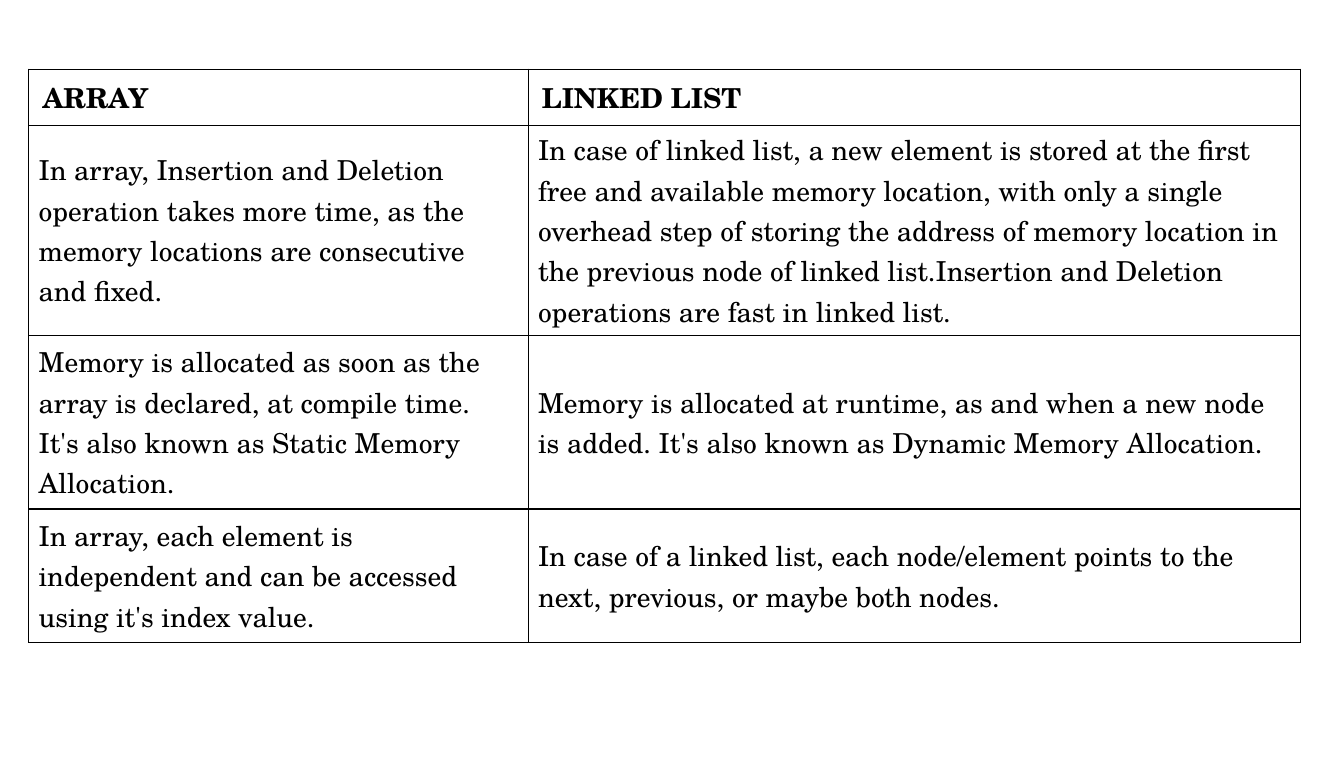
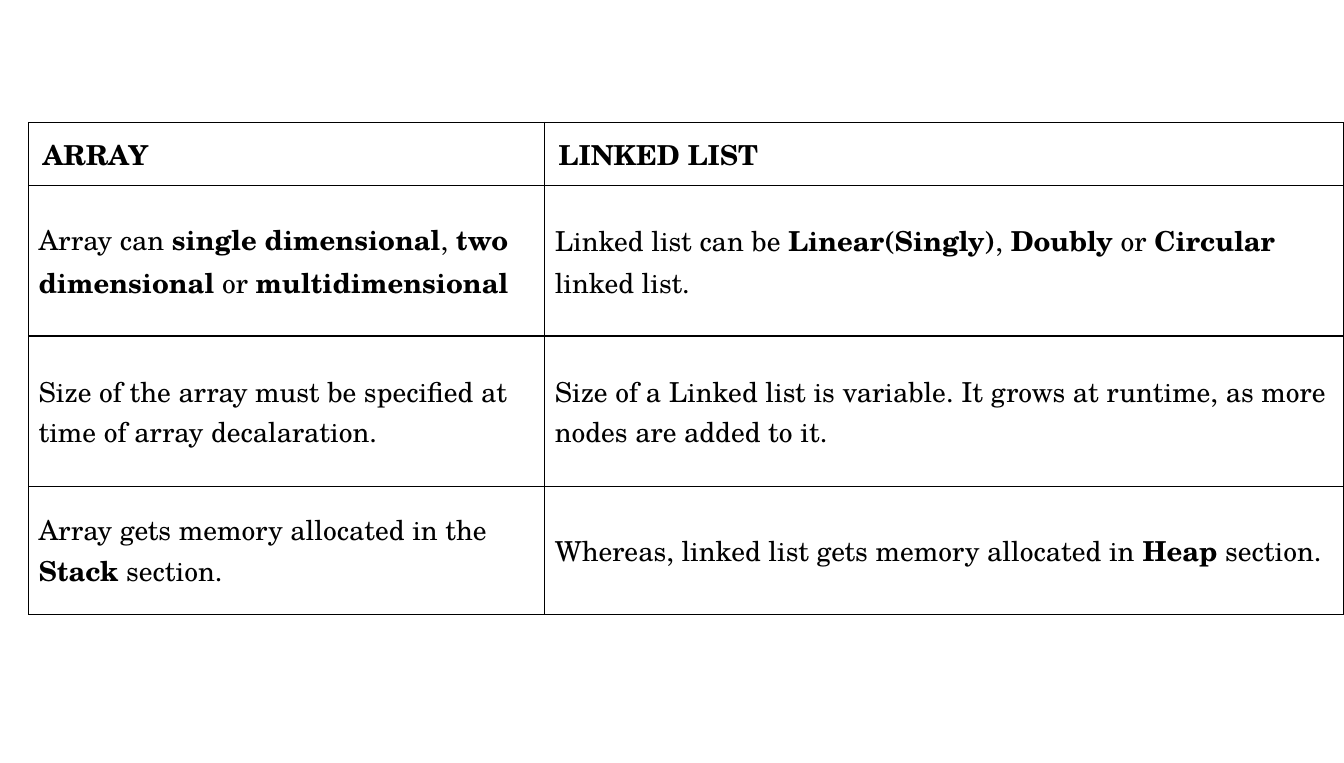
from pptx import Presentation
from pptx.dml.color import RGBColor
from pptx.enum.text import MSO_ANCHOR
from pptx.oxml import parse_xml
from pptx.oxml.ns import nsdecls
from pptx.util import Emu, Pt

EMU_PER_PX = 9144  # 100 px to the inch


def px(n):
    return Emu(n * EMU_PER_PX)


def color(hex_text):
    return RGBColor.from_string(hex_text)


class Deck:
    FONT, SIZE = "TeX Gyre Schola", Pt(20)
    INK, PAPER = "000000", "FFFFFF"
    BORDER = Pt(1)
    HEAD_INSET, BODY_INSET = (14, 5), (10, 4)

    def __init__(self, width, height):
        self.prs = Presentation()
        self.prs.slide_width, self.prs.slide_height = px(width), px(height)
        self.s = None

    def slide(self):
        self.s = self.prs.slides.add_slide(self.prs.slide_layouts[6])
        fill = self.s.background.fill
        fill.solid()
        fill.fore_color.rgb = color(self.PAPER)

    def table(self, left, top, widths, heights, rows):
        """Add a bordered table whose first row is a bold header."""
        frame = self.s.shapes.add_table(
            len(rows), len(widths), px(left), px(top),
            px(sum(widths)), px(sum(heights)))
        tbl = frame.table
        tbl.first_row = tbl.horz_banding = False
        for col, width in zip(tbl.columns, widths):
            col.width = px(width)
        for row, height in zip(tbl.rows, heights):
            row.height = px(height)
        for i, texts in enumerate(rows):
            for j, text in enumerate(texts):
                self.cell(tbl.cell(i, j), text, header=i == 0)

    def cell(self, cell, text, header):
        """Fill one cell; words between ** marks are bold."""
        side, end = self.HEAD_INSET if header else self.BODY_INSET
        cell.margin_left = cell.margin_right = px(side)
        cell.margin_top = cell.margin_bottom = px(end)
        cell.vertical_anchor = MSO_ANCHOR.MIDDLE
        cell.fill.solid()
        cell.fill.fore_color.rgb = color(self.PAPER)
        self.borders(cell)
        p = cell.text_frame.paragraphs[0]
        p.font.name, p.font.size = self.FONT, self.SIZE
        p.font.color.rgb = color(self.INK)
        for i, part in enumerate(text.split("**")):
            r = p.add_run()
            r.text = part
            r.font.bold = header or i % 2 == 1

    def borders(self, cell):
        tc_pr = cell._tc.get_or_add_tcPr()
        for i, edge in enumerate(("lnL", "lnR", "lnT", "lnB")):
            tc_pr.insert(i, parse_xml(
                f'<a:{edge} {nsdecls("a")} w="{self.BORDER}"><a:solidFill>'
                f'<a:srgbClr val="{self.INK}"/></a:solidFill></a:{edge}>'))


HEADER = ("ARRAY", "LINKED LIST")

OPERATIONS = [
    HEADER,
    ("In array, Insertion and Deletion operation takes more time, as the "
     "memory locations are consecutive and fixed.",
     "In case of linked list, a new element is stored at the first free and "
     "available memory location, with only a single overhead step of storing "
     "the address of memory location in the previous node of linked "
     "list.Insertion and Deletion operations are fast in linked list."),
    ("Memory is allocated as soon as the array is declared, at compile time. "
     "It's also known as Static Memory Allocation.",
     "Memory is allocated at runtime, as and when a new node is added. "
     "It's also known as Dynamic Memory Allocation."),
    ("In array, each element is independent and can be accessed using it's "
     "index value.",
     "In case of a linked list, each node/element points to the next, "
     "previous, or maybe both nodes."),
]

KINDS_AND_SIZE = [
    HEADER,
    ("Array can **single dimensional**, **two dimensional** or "
     "**multidimensional**",
     "Linked list can be **Linear(Singly)**, **Doubly** or **Circular** "
     "linked list."),
    ("Size of the array must be specified at time of array decalaration.",
     "Size of a Linked list is variable. It grows at runtime, as more nodes "
     "are added to it."),
    ("Array gets memory allocated in the **Stack** section.",
     "Whereas, linked list gets memory allocated in **Heap** section."),
]


def main():
    deck = Deck(1359, 772)
    deck.slide()
    deck.table(29, 70, (505, 781), (57, 149, 176, 135), OPERATIONS)
    deck.slide()
    deck.table(29, 124, (522, 808), (64, 152, 152, 130), KINDS_AND_SIZE)
    deck.prs.save("out.pptx")


if __name__ == "__main__":
    main()
